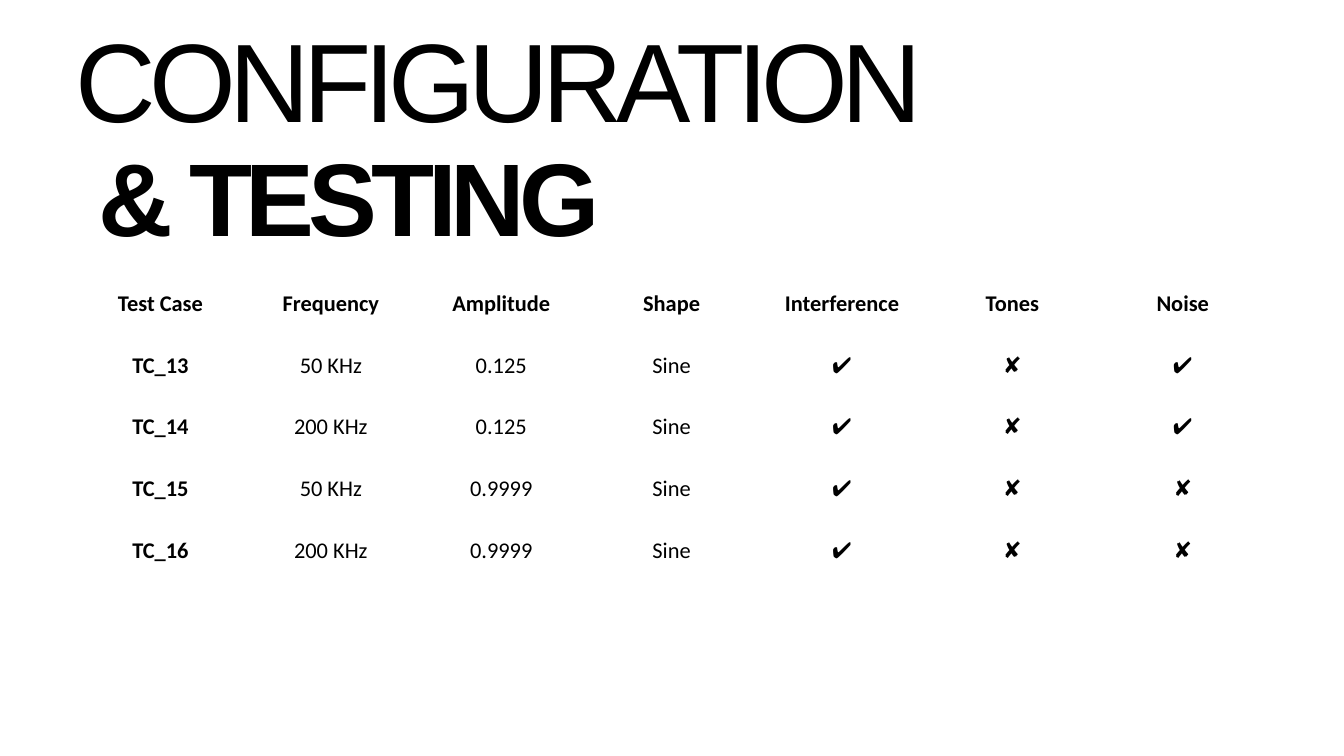
from pptx import Presentation
from pptx.dml.color import RGBColor
from pptx.enum.text import MSO_ANCHOR, MSO_AUTO_SIZE, PP_ALIGN
from pptx.util import Inches, Pt

CENTER, JUSTIFY = PP_ALIGN.CENTER, PP_ALIGN.JUSTIFY
TOP, MIDDLE = MSO_ANCHOR.TOP, MSO_ANCHOR.MIDDLE
FIT_SHAPE = MSO_AUTO_SIZE.SHAPE_TO_FIT_TEXT
TITLE_ONLY = 5

# Content
TITLE = "CONFIGURATION"
SUBTITLE = "& TESTING"
YES, NO = "✔", "✘"
TEST_CASES = [
    ("Test Case", "Frequency", "Amplitude", "Shape", "Interference", "Tones", "Noise"),
    ("TC_13", "50 KHz", "0.125", "Sine", YES, NO, YES),
    ("TC_14", "200 KHz", "0.125", "Sine", YES, NO, YES),
    ("TC_15", "50 KHz", "0.9999", "Sine", YES, NO, NO),
    ("TC_16", "200 KHz", "0.9999", "Sine", YES, NO, NO),
]

# Theme: size, line height and letter spacing in points
THEME = {
    "ink": RGBColor(0, 0, 0),
    "heading_font": "Arial",
    "table_font": "Calibri",
    "title": {"size": 119.5, "line": 102.7, "tracking": -7.2, "bold": False},
    "subtitle": {"size": 110.6, "line": 95.1, "tracking": -6.6, "bold": True},
    "table_size": 24,
}
LEFT = 1.12
SUBTITLE_INDENT = 0.34
TABLE_TOP, TABLE_WIDTH, ROW_HEIGHT = 4.06, 17.75, 0.92


def style_font(font, name, size, bold):
    font.name, font.size, font.bold = name, Pt(size), bold
    font.color.rgb = THEME["ink"]


def place(shape, left, top, width, height):
    shape.left, shape.top = Inches(left), Inches(top)
    shape.width, shape.height = Inches(width), Inches(height)


def write_heading(shape, text, look, indent=0):
    frame = shape.text_frame
    frame.word_wrap = True
    frame.auto_size = FIT_SHAPE
    frame.vertical_anchor = TOP
    frame.margin_left = Inches(indent)
    frame.margin_top = frame.margin_right = frame.margin_bottom = 0
    paragraph = frame.paragraphs[0]
    paragraph.alignment = JUSTIFY
    paragraph.line_spacing = Pt(look["line"])
    style_font(paragraph.font, THEME["heading_font"], look["size"], look["bold"])
    run = paragraph.add_run()
    run.text = text
    run._r.get_or_add_rPr().set("spc", str(round(look["tracking"] * 100)))


def add_test_table(slide):
    row_count, column_count = len(TEST_CASES), len(TEST_CASES[0])
    table = slide.shapes.add_table(
        row_count, column_count, Inches(LEFT), Inches(TABLE_TOP),
        Inches(TABLE_WIDTH), Inches(ROW_HEIGHT * row_count)).table
    table.horz_banding = False
    for r, test_case in enumerate(TEST_CASES):
        for c, value in enumerate(test_case):
            cell = table.cell(r, c)
            cell.fill.background()
            cell.vertical_anchor = MIDDLE
            cell.text = value
            paragraph = cell.text_frame.paragraphs[0]
            paragraph.alignment = CENTER
            style_font(paragraph.font, THEME["table_font"], THEME["table_size"],
                       r == 0 or c == 0)


def main():
    deck = Presentation()
    deck.slide_width, deck.slide_height = Inches(20), Inches(11.25)
    slide = deck.slides.add_slide(deck.slide_layouts[TITLE_ONLY])

    # Two-line heading
    title = slide.shapes.title
    place(title, LEFT, 0.73, 14.46, 1.7)
    write_heading(title, TITLE, THEME["title"])
    subtitle = slide.shapes.add_textbox(0, 0, 0, 0)
    place(subtitle, LEFT, 2.5, 10.19, 1.56)
    write_heading(subtitle, SUBTITLE, THEME["subtitle"], SUBTITLE_INDENT)

    # Test case table
    add_test_table(slide)
    deck.save("out.pptx")


if __name__ == "__main__":
    main()
